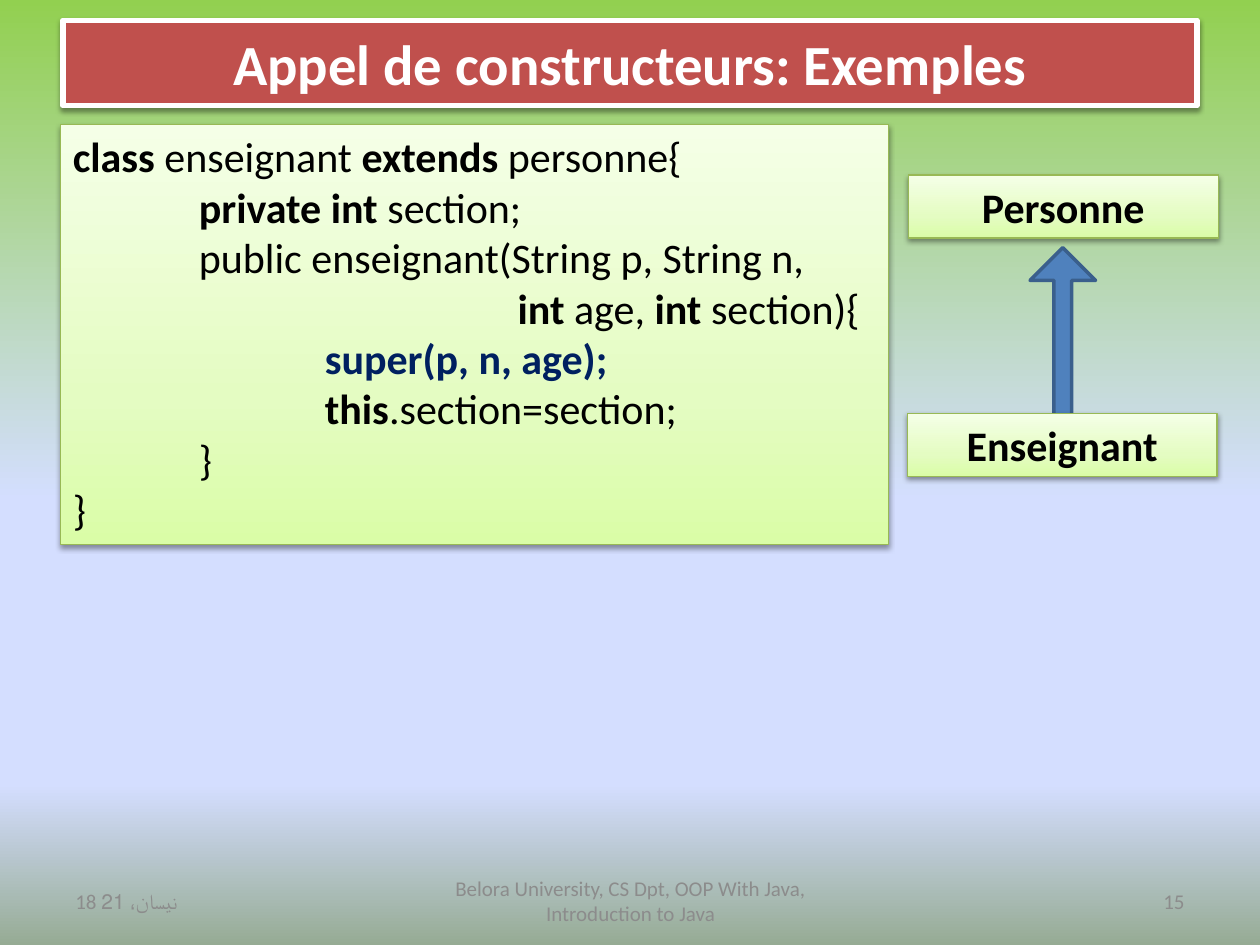
import dataclasses
import typing

import lxml.etree
import pptx
import pptx.dml.color
import pptx.dml.fill
import pptx.enum.shapes
import pptx.enum.text
import pptx.oxml.ns
import pptx.shapes.autoshape
import pptx.slide
import pptx.util

Inches = pptx.util.Inches
Align = pptx.enum.text.PP_ALIGN
Anchor = pptx.enum.text.MSO_ANCHOR
Preset = pptx.enum.shapes.MSO_SHAPE
qn = pptx.oxml.ns.qn
Stops = tuple[tuple[int, str], ...]


@dataclasses.dataclass(frozen=True)
class Theme:
    font: str = "Calibri"
    title_size: float = 32.4
    body_size: float = 24
    footer_size: float = 12
    black: str = "000000"
    white: str = "FFFFFF"
    navy: str = "002060"
    gray: str = "8C8C8C"
    red: str = "C0504D"
    blue: str = "4F81BD"
    blue_line: str = "3A5F8C"
    green_line: str = "98B955"
    green: Stops = ((0, "DAFDA7"), (35, "E4FCC2"), (100, "F5FFE7"))
    background: Stops = ((0, "92D050"), (53, "D4DEFF"), (83, "D4DEFF"), (100, "96AB94"))


THEME = Theme()


class Box(typing.NamedTuple):
    left: float
    top: float
    width: float
    height: float

    def lengths(self) -> list[pptx.util.Length]:
        return [Inches(value) for value in self]


class Run(typing.NamedTuple):
    text: str
    bold: bool = False
    color: str = THEME.black


class Line(typing.NamedTuple):
    runs: tuple[Run, ...]
    indent: float = 0


class Footer(typing.NamedTuple):
    text: str
    box: Box
    align: Align


CODE = (
    Line((Run("class", True), Run(" enseignant "), Run("extends", True), Run(" personne{"))),
    Line((Run("private int", True), Run(" section;")), 1),
    Line((Run("public enseignant(String p, String n,"),), 1),
    Line((Run("int", True), Run(" age, "), Run("int", True), Run(" section){")), 3.53),
    Line((Run("super(p, n, age);", True, THEME.navy),), 2),
    Line((Run("this", True), Run(".section=section;")), 2),
    Line((Run("}"),), 1),
    Line((Run("}"),)),
)
CLASSES = (
    ("Enseignant", Box(7.2, 3.28, 2.46, 0.5)),
    ("Personne", Box(7.21, 1.39, 2.46, 0.5)),
)
FOOTERS = (
    Footer("18 نيسان، 21", Box(0.5, 6.95, 2.33, 0.4), Align.LEFT),
    Footer("Belora University, CS Dpt, OOP With Java, Introduction to Java",
           Box(3.42, 6.95, 3.17, 0.4), Align.CENTER),
    Footer("15", Box(7.17, 6.95, 2.33, 0.4), Align.RIGHT),
)


def rgb(color: str) -> pptx.dml.color.RGBColor:
    return pptx.dml.color.RGBColor.from_string(color)


def set_gradient(fill: pptx.dml.fill.FillFormat, parent: lxml.etree._Element,
                 stops: Stops, angle: float) -> None:
    fill.gradient()
    fill.gradient_angle = angle
    stop_list = parent.find(".//" + qn("a:gsLst"))
    for stop in list(stop_list):
        stop_list.remove(stop)
    for position, color in stops:
        stop = lxml.etree.SubElement(stop_list, qn("a:gs"), pos=str(position * 1000))
        lxml.etree.SubElement(stop, qn("a:srgbClr"), val=color)


def add_shadow(shape: pptx.shapes.autoshape.Shape) -> None:
    effects = shape._element.spPr.find(qn("a:effectLst"))
    shadow = lxml.etree.SubElement(
        effects, qn("a:outerShdw"), blurRad=str(pptx.util.Pt(3.1)),
        dist=str(pptx.util.Pt(1.6)), dir="5400000", rotWithShape="0")
    color = lxml.etree.SubElement(shadow, qn("a:srgbClr"), val=THEME.black)
    lxml.etree.SubElement(color, qn("a:alpha"), val="38000")


def add_panel(slide: pptx.slide.Slide, preset: Preset, box: Box, fill: str | Stops,
              line: str, line_width: float, shadow: bool = True) -> pptx.shapes.autoshape.Shape:
    shape = slide.shapes.add_shape(preset, *box.lengths())
    if isinstance(fill, str):
        shape.fill.solid()
        shape.fill.fore_color.rgb = rgb(fill)
    else:
        set_gradient(shape.fill, shape._element.spPr, fill, 90)
    shape.line.color.rgb = rgb(line)
    shape.line.width = pptx.util.Pt(line_width)
    shape.shadow.inherit = False
    if shadow:
        add_shadow(shape)
    return shape


def write(shape: pptx.shapes.autoshape.Shape, lines: tuple[Line, ...], size: float,
          align: Align, anchor: Anchor) -> None:
    frame = shape.text_frame
    frame.word_wrap = True
    frame.vertical_anchor = anchor
    frame.text = "\n".join("".join(run.text for run in line.runs) for line in lines)
    for paragraph, line in zip(frame.paragraphs, lines):
        paragraph.alignment = align
        paragraph._p.get_or_add_pPr().set("marL", str(Inches(line.indent)))
        paragraph.clear()
        for part in line.runs:
            run = paragraph.add_run()
            run.text = part.text
            run.font.name = THEME.font
            run.font.size = pptx.util.Pt(size)
            run.font.bold = part.bold
            run.font.color.rgb = rgb(part.color)


def add_green_panel(slide: pptx.slide.Slide, box: Box, lines: tuple[Line, ...],
                    align: Align) -> None:
    shape = add_panel(slide, Preset.RECTANGLE, box, THEME.green, THEME.green_line, 0.75)
    write(shape, lines, THEME.body_size, align, Anchor.TOP)


def add_footer(slide: pptx.slide.Slide, footer: Footer) -> None:
    shape = slide.shapes.add_textbox(*footer.box.lengths())
    line = Line((Run(footer.text, color=THEME.gray),))
    write(shape, (line,), THEME.footer_size, footer.align, Anchor.MIDDLE)


def main() -> None:
    presentation = pptx.Presentation()
    presentation.slide_width = Inches(10)
    presentation.slide_height = Inches(7.5)
    slide = presentation.slides.add_slide(presentation.slide_layouts[6])
    set_gradient(slide.background.fill, slide._element, THEME.background, 270)

    arrow = add_panel(slide, Preset.NOTCHED_RIGHT_ARROW, Box(7.62, 2.52, 1.63, 0.52),
                      THEME.blue, THEME.blue_line, 2, shadow=False)
    arrow.rotation = 270
    arrow.adjustments[0] = 0.27
    arrow.adjustments[1] = 0.5

    title = add_panel(slide, Preset.RECTANGLE, Box(0.5, 0.16, 9, 0.68),
                      THEME.red, THEME.white, 3)
    title_line = Line((Run("Appel de constructeurs: Exemples", True, THEME.white),))
    write(title, (title_line,), THEME.title_size, Align.CENTER, Anchor.MIDDLE)

    add_green_panel(slide, Box(0.48, 0.99, 6.57, 3.33), CODE, Align.LEFT)
    for name, box in CLASSES:
        add_green_panel(slide, box, (Line((Run(name, True),)),), Align.CENTER)
    for footer in FOOTERS:
        add_footer(slide, footer)

    presentation.save("out.pptx")


main()
